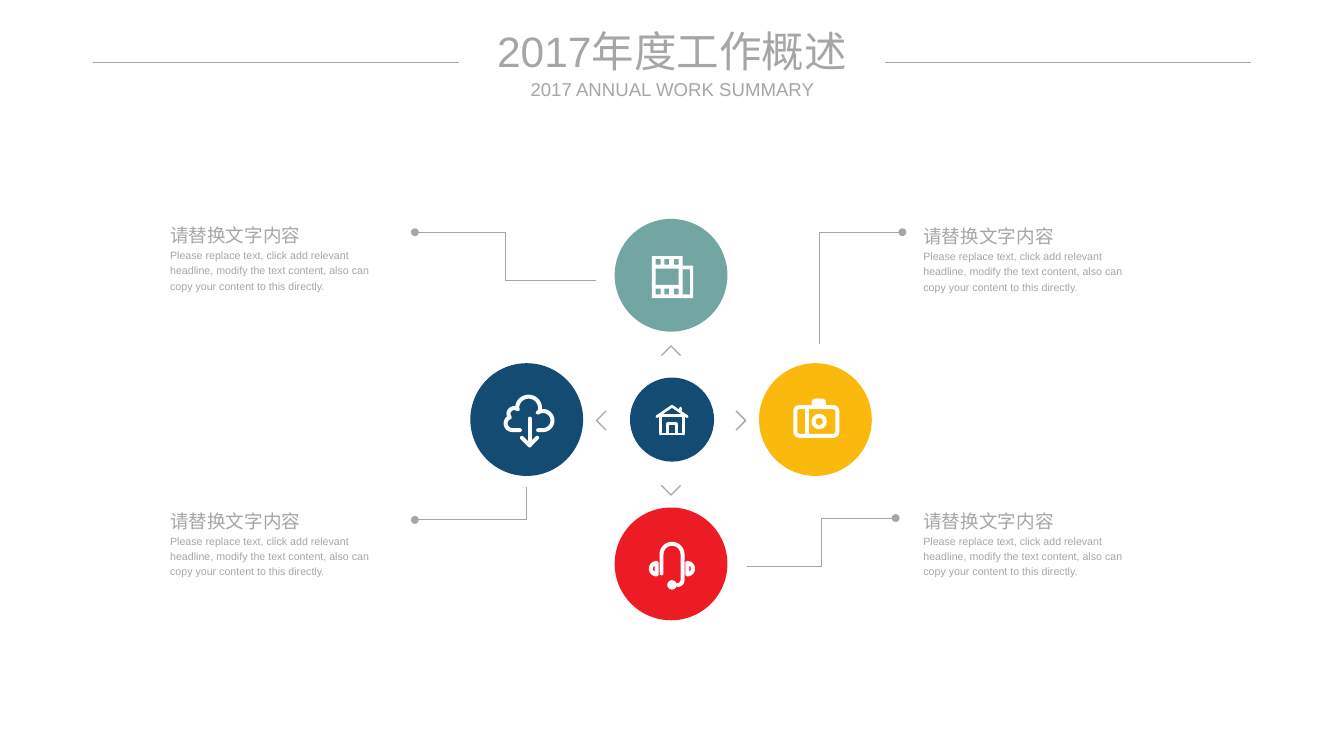
import math

import pptx
import pptx.dml.color
import pptx.enum.shapes
import pptx.enum.text
import pptx.oxml
import pptx.oxml.ns
import pptx.util

PX = 9144  # EMU per px, 100 px to the inch
COLORS = {"grey": "A6A6A6", "teal": "73A6A3", "navy": "134B73",
          "amber": "FBB80D", "red": "ED1C24", "white": "FFFFFF"}
FONT = "Arial"


def rgb(name):
    return pptx.dml.color.RGBColor.from_string(COLORS[name])


def drawing_xml(tag):
    return pptx.oxml.parse_xml("<a:%s %s/>" % (tag, pptx.oxml.ns.nsdecls("a")))


def box(left, top, right, bottom):
    return [(left, top), (right, top), (right, bottom), (left, bottom)]


def arc(x, y, radius, start, end, steps=16):
    """Points clockwise from start to end, in degrees from the right."""
    angles = [math.radians(start + (end - start) * i / steps) for i in range(steps + 1)]
    return [(x + radius * math.cos(a), y + radius * math.sin(a)) for a in angles]


def write(paragraph, text, size, color="grey", align=None, spacing=None):
    run = paragraph.add_run()
    run.text = text
    run.font.name = FONT
    run.font.size = pptx.util.Pt(size)
    run.font.color.rgb = rgb(color)
    paragraph.alignment = align
    paragraph.line_spacing = spacing


class Canvas:
    def __init__(self, slide):
        self.shapes = slide.shapes

    def paint(self, shape, fill=None, line=None, weight=1):
        shape.shadow.inherit = False
        if fill:
            shape.fill.solid()
            shape.fill.fore_color.rgb = rgb(fill)
        else:
            shape.fill.background()
        if line:
            shape.line.color.rgb = rgb(line)
            shape.line.width = pptx.util.Pt(weight)
        else:
            shape.line.fill.background()

    def circle(self, x, y, radius, **look):
        disc = self.shapes.add_shape(
            pptx.enum.shapes.MSO_SHAPE.OVAL, (x - radius) * PX, (y - radius) * PX,
            2 * radius * PX, 2 * radius * PX)
        self.paint(disc, **look)

    def rounded(self, left, top, right, bottom, radius, **look):
        width, height = right - left, bottom - top
        plate = self.shapes.add_shape(
            pptx.enum.shapes.MSO_SHAPE.ROUNDED_RECTANGLE,
            left * PX, top * PX, width * PX, height * PX)
        plate.adjustments[0] = radius / min(width, height)
        self.paint(plate, **look)

    def outline(self, contours, closed):
        start, *others = [[(round(x * PX), round(y * PX)) for x, y in contour]
                          for contour in contours]
        builder = self.shapes.build_freeform(*start[0])
        builder.add_line_segments(start[1:], close=closed)
        for contour in others:
            builder.move_to(*contour[0])
            builder.add_line_segments(contour[1:], close=closed)
        return builder.convert_to_shape()

    def plate(self, *contours):
        """Fill the first contour in white; the others are holes in it."""
        self.paint(self.outline(contours, closed=True), fill="white")

    def polyline(self, points, weight, color="grey", closed=False, dot=False):
        shape = self.outline([points], closed)
        self.paint(shape, line=color, weight=weight)
        ln = shape.line._get_or_add_ln()
        if color == "white":
            ln.set("cap", "rnd")
            ln.append(drawing_xml("round"))
        if dot:
            end = drawing_xml("tailEnd")
            end.set("type", "oval")
            ln.append(end)

    def stroke(self, points, weight=3, closed=False):
        self.polyline(points, weight, color="white", closed=closed)

    def rule(self, x1, x2, y, weight):
        line = self.shapes.add_connector(
            pptx.enum.shapes.MSO_CONNECTOR.STRAIGHT, x1 * PX, y * PX, x2 * PX, y * PX)
        line.line.color.rgb = rgb("grey")
        line.line.width = pptx.util.Pt(weight)
        line._element.spPr.append(drawing_xml("effectLst"))

    def text(self, left, top, width, height, lines, anchor="TOP", **style):
        """Place a text box; lines holds (text, size) for each paragraph."""
        frame = self.shapes.add_textbox(left * PX, top * PX, width * PX, height * PX).text_frame
        frame.word_wrap = True
        frame.auto_size = pptx.enum.text.MSO_AUTO_SIZE.SHAPE_TO_FIT_TEXT
        frame.vertical_anchor = pptx.enum.text.MSO_ANCHOR[anchor]
        frame.margin_left = frame.margin_right = frame.margin_top = frame.margin_bottom = 0
        for index, (words, size) in enumerate(lines):
            paragraph = frame.add_paragraph() if index else frame.paragraphs[0]
            write(paragraph, words, size, **style)


def draw_film(canvas, x, y):
    perforations = [box(x + dx, y + dy, x + dx + 5, y + dy + 6)
                    for dy in (-19, 12) for dx in (-16, -7, 3)]
    canvas.plate(box(x - 20, y - 22, x + 12, y + 22),
                 box(x - 16, y - 9, x + 8, y + 8), *perforations)
    canvas.plate(box(x + 12, y - 12, x + 23, y + 22), box(x + 12, y - 8, x + 20, y + 18))


def draw_cloud(canvas, x, y):
    canvas.stroke([(x - 7, y + 11)] + arc(x - 15, y + 4, 7, 90, 240)
                  + arc(x - 13, y - 6, 6, 140, 310) + arc(x + 2, y - 12, 12, 180, 380)
                  + arc(x + 17, y + 1, 10, 235, 450) + [(x + 12, y + 11)])
    canvas.stroke([(x + 3, y - 1), (x + 3, y + 27)])
    canvas.stroke([(x - 5, y + 19), (x + 3, y + 27), (x + 11, y + 19)])


def draw_headset(canvas, x, y):
    canvas.stroke([(x - 10, y + 10)] + arc(x + 1, y - 10, 11, 180, 360)
                  + arc(x + 7, y + 17, 5, 0, 90))
    for side, start in ((-1, 90), (1, 270)):
        canvas.stroke(arc(x + 1 + 16 * side, y + 5, 6, start, start + 180), closed=True)
    canvas.circle(x + 1, y + 22, 5, fill="white")


def draw_camera(canvas, x, y):
    canvas.rounded(x - 21, y - 13, x + 23, y + 17, 4, line="white", weight=3)
    canvas.rounded(x - 4, y - 22, x + 11, y - 12, 4, fill="white")
    canvas.stroke([(x - 9, y - 13), (x - 9, y + 17)])
    canvas.circle(x + 4, y + 2, 6, line="white", weight=3)


def draw_house(canvas, x, y):
    canvas.stroke([(x - 16, y - 3), (x, y - 14), (x + 16, y - 3)], weight=2)
    canvas.stroke([(x + 9, y - 12), (x + 9, y - 9)], weight=2)
    for half, top in ((12, -4), (5, 4)):
        canvas.stroke([(x - half, y + 15), (x - half, y + top), (x + half, y + top),
                       (x + half, y + 15)], weight=2)
    canvas.stroke([(x - 12, y + 15), (x + 12, y + 15)], weight=2)


def main():
    deck = pptx.Presentation()
    deck.slide_width, deck.slide_height = 1406 * PX, 791 * PX
    canvas = Canvas(deck.slides.add_slide(deck.slide_layouts[6]))

    hub_x, hub_y = 702, 439
    canvas.circle(hub_x + 1, hub_y, 44, fill="navy")
    draw_house(canvas, hub_x + 1, hub_y)
    satellites = [(0, -1, "teal", draw_film), (1, 0, "amber", draw_camera),
                  (-1, 0, "navy", draw_cloud), (0, 1, "red", draw_headset)]
    for dx, dy, color, draw_icon in satellites:
        x, y = hub_x + 151 * dx, hub_y + 151 * dy
        canvas.circle(x, y, 59, fill=color)
        draw_icon(canvas, x, y + 2 * (dy < 0))
        tip_x, tip_y = hub_x + 78 * dx, hub_y + 1 + 78 * dy
        back_x, back_y = tip_x - 10 * dx, tip_y - 10 * dy
        canvas.polyline([(back_x - 10 * dy, back_y - 10 * dx), (tip_x, tip_y),
                         (back_x + 10 * dy, back_y + 10 * dx)], weight=1)

    leaders = [[(623, 294), (529, 294), (529, 243), (434, 243)],
               [(857, 360), (857, 243), (944, 243)],
               [(781, 593), (859, 593), (859, 542), (937, 542)],
               [(551, 510), (551, 544), (434, 544)]]
    for leader in leaders:
        canvas.polyline(leader, weight=0.75, dot=True)

    caption = [("请替换文字内容", 14),
               ("Please replace text, click add relevant headline, modify the text content, "
                "also can copy your content to this directly.", 8)]
    for left, top in ((966, 231), (966, 529), (178, 529), (178, 230)):
        canvas.text(left, top, 233, 77, caption, spacing=1.2)

    heading = {"anchor": "MIDDLE", "align": pptx.enum.text.PP_ALIGN.CENTER}
    canvas.text(487, 26, 432, 54, [("2017年度工作概述", 32)], **heading)
    canvas.text(550, 81, 307, 24, [("2017 ANNUAL WORK SUMMARY", 14)], **heading)
    for start in (97, 926):
        canvas.rule(start, start + 383, 65, weight=0.5)

    deck.save("out.pptx")


if __name__ == "__main__":
    main()
